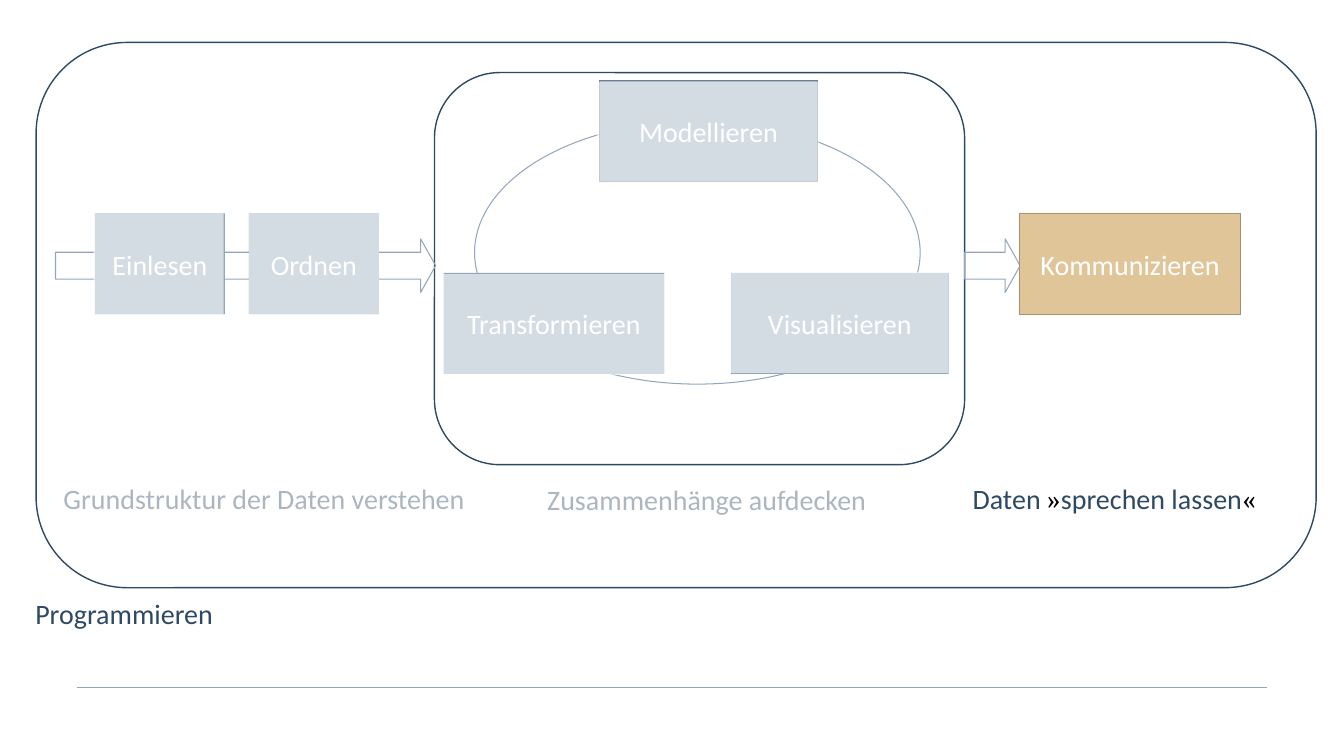
from dataclasses import dataclass

from lxml.etree import SubElement
from pptx import Presentation
from pptx.dml.color import RGBColor
from pptx.enum.shapes import MSO_CONNECTOR, MSO_SHAPE
from pptx.enum.text import MSO_ANCHOR, MSO_AUTO_SIZE, PP_ALIGN
from pptx.oxml.ns import qn
from pptx.util import Cm, Pt

NAVY = RGBColor(0x2E, 0x49, 0x64)
STEEL = RGBColor(0x93, 0xA7, 0xBB)
SLATE = RGBColor(0x6D, 0x7C, 0x8A)
SAND = RGBColor(0xE0, 0xC5, 0x99)
BRONZE = RGBColor(0xA6, 0x92, 0x71)
WHITE = RGBColor(0xFF, 0xFF, 0xFF)
BLACK = RGBColor(0, 0, 0)

BOX_HEIGHT = 2.54
INSET = Cm(0.2)
VEIL_ALPHA = "60000"


@dataclass(frozen=True)
class Area:
    """Position and size in centimetres."""
    left: float
    top: float
    width: float
    height: float = BOX_HEIGHT

    def emu(self) -> tuple:
        return Cm(self.left), Cm(self.top), Cm(self.width), Cm(self.height)


@dataclass(frozen=True)
class Outline:
    kind: MSO_SHAPE
    area: Area
    color: RGBColor = STEEL
    weight: float = 0.75


@dataclass(frozen=True)
class Step:
    text: str
    area: Area
    fill: RGBColor = STEEL
    line: RGBColor | None = None


@dataclass(frozen=True)
class Label:
    text: str
    area: Area


INNER_FRAME = Outline(MSO_SHAPE.ROUNDED_RECTANGLE,
                      Area(10.95, 1.83, 13.36, 9.88), NAVY, 1)
OUTER_FRAME = Outline(MSO_SHAPE.ROUNDED_RECTANGLE,
                      Area(0.91, 1.07, 32.26, 13.74), NAVY, 1)
CYCLE = Outline(MSO_SHAPE.OVAL, Area(11.96, 3.05, 11.23, 6.63))
ARROWS = [
    Outline(MSO_SHAPE.RIGHT_ARROW, Area(1.4, 6.02, 9.58, 1.35)),
    Outline(MSO_SHAPE.RIGHT_ARROW, Area(24.31, 6.02, 1.4, 1.35)),
]
STEPS = [
    Step("Einlesen", Area(2.39, 5.38, 3.28)),
    Step("Ordnen", Area(6.27, 5.38, 3.28)),
    Step("Transformieren", Area(11.18, 6.88, 5.56)),
    Step("Modellieren", Area(15.11, 2.03, 5.49), line=SLATE),
    Step("Visualisieren", Area(18.42, 6.88, 5.49)),
    Step("Kommunizieren", Area(25.7, 5.38, 5.56), SAND, BRONZE),
]
LABELS = [
    Label("Grundstruktur der Daten verstehen", Area(1.4, 11.94, 10.9, 1.27)),
    Label("Daten »sprechen lassen«", Area(24.31, 11.94, 7.65, 1.27)),
    Label("Zusammenhänge aufdecken", Area(13.59, 11.96, 8.53, 1.27)),
    Label("Programmieren", Area(0.69, 14.83, 4.93, 1.27)),
]
VEILS = [
    Area(2.36, 5.38, 3.28),
    Area(18.31, 6.86, 5.59),
    Area(11.15, 6.91, 5.59),
    Area(15.04, 2.06, 5.59),
    Area(1.37, 11.79, 11.53, 1.57),
    Area(12.83, 11.96, 10.57, 1.73),
    Area(6.27, 5.38, 3.28),
]


def add_plain_shape(s, kind: MSO_SHAPE, area: Area, fill: RGBColor | None = None,
                    line: RGBColor | None = None, weight: float = 1):
    sp = s.shapes.add_shape(kind, *area.emu())
    sp.shadow.inherit = False
    if fill is None:
        sp.fill.background()
    else:
        sp.fill.solid()
        sp.fill.fore_color.rgb = fill
    if line is None:
        sp.line.fill.background()
    else:
        sp.line.color.rgb = line
        sp.line.width = Pt(weight)
    return sp


def add_outline(s, outline: Outline) -> None:
    sp = add_plain_shape(s, outline.kind, outline.area, None,
                         outline.color, outline.weight)
    if outline.kind == MSO_SHAPE.RIGHT_ARROW:
        sp.adjustments[0] = 0.5
        sp.adjustments[1] = 0.28


def set_insets(tf) -> None:
    tf.margin_left = tf.margin_right = INSET
    tf.margin_top = tf.margin_bottom = INSET


def set_font(font, color: RGBColor, name: str = "Calibri") -> None:
    font.name = name
    font.size = Pt(20)
    font.color.rgb = color


def add_step(s, step: Step) -> None:
    sp = add_plain_shape(s, MSO_SHAPE.RECTANGLE, step.area, step.fill, step.line)
    tf = sp.text_frame
    tf.word_wrap = True
    tf.vertical_anchor = MSO_ANCHOR.MIDDLE
    set_insets(tf)
    p = tf.paragraphs[0]
    p.text = step.text
    p.alignment = PP_ALIGN.CENTER
    set_font(p.font, WHITE)


def add_label(s, label: Label) -> None:
    tf = s.shapes.add_textbox(*label.area.emu()).text_frame
    tf.word_wrap = False
    tf.auto_size = MSO_AUTO_SIZE.SHAPE_TO_FIT_TEXT
    set_insets(tf)
    p = tf.paragraphs[0]
    set_font(p.font, NAVY)
    # Guillemets stand in their own black Cambria runs
    for part in label.text.replace("»", "|»|").replace("«", "|«").split("|"):
        r = p.add_run()
        r.text = part
        if part in ("»", "«"):
            set_font(r.font, BLACK, "Cambria")


def add_veil(s, area: Area) -> None:
    sp = add_plain_shape(s, MSO_SHAPE.RECTANGLE, area, WHITE)
    color = sp.fill._xPr.find(qn("a:solidFill"))[0]
    SubElement(color, qn("a:alpha"), val=VEIL_ALPHA)


def add_footer_rule(s) -> None:
    rule = s.shapes.add_connector(MSO_CONNECTOR.STRAIGHT,
                                  Cm(1.93), Cm(17.32), Cm(31.93), Cm(17.32))
    rule.line.color.rgb = STEEL
    rule.line.width = Pt(1)
    SubElement(rule._element.spPr, qn("a:effectLst"))


def main() -> None:
    prs = Presentation()
    prs.slide_width, prs.slide_height = Cm(33.87), Cm(19.05)
    s = prs.slides.add_slide(prs.slide_layouts[6])

    # Frames, arrows and cycle behind the steps
    add_footer_rule(s)
    for outline in (INNER_FRAME, *ARROWS, CYCLE):
        add_outline(s, outline)

    # Process steps and their captions
    for step in STEPS:
        add_step(s, step)
    for label in LABELS:
        add_label(s, label)
    add_outline(s, OUTER_FRAME)

    # Translucent veils leave only the last step in full colour
    for area in VEILS:
        add_veil(s, area)

    prs.save("out.pptx")


if __name__ == "__main__":
    main()
